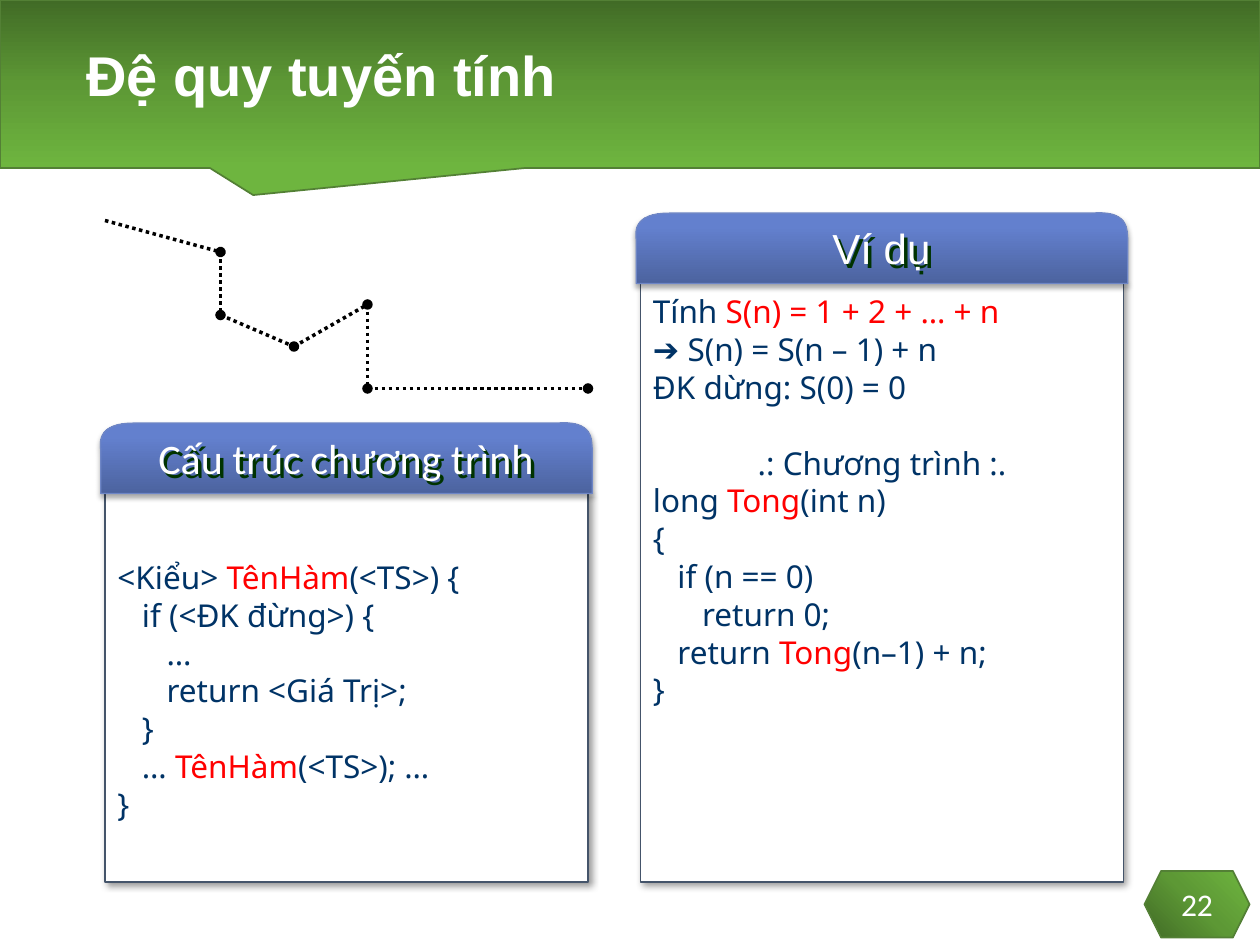
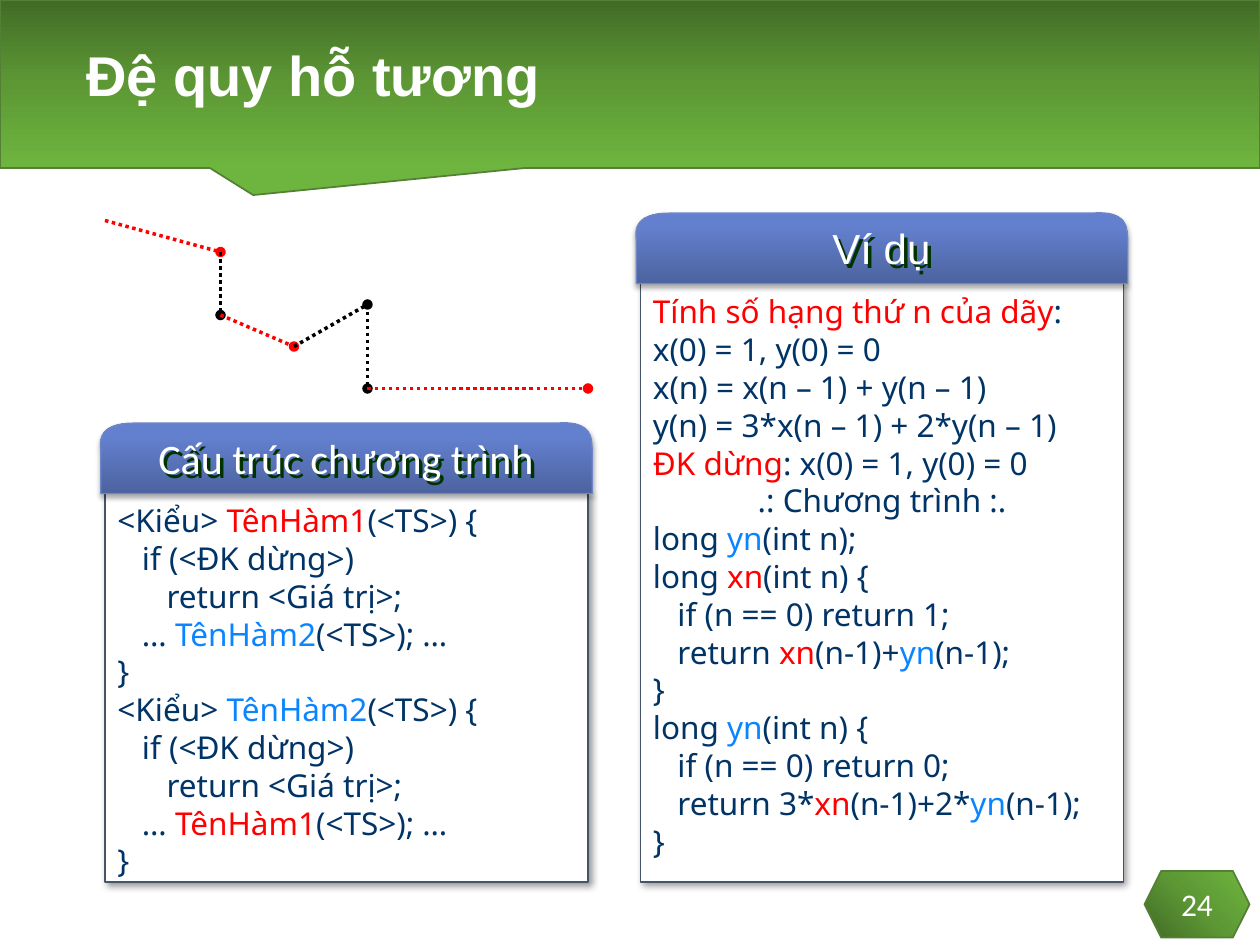
import pptx
import pptx.util
import pptx.oxml
import pptx.oxml.ns
import pptx.dml.color
import pptx.enum.dml
import pptx.enum.shapes
import pptx.enum.text

Pt = pptx.util.Pt
RGB = pptx.dml.color.RGBColor
SHAPE = pptx.enum.shapes.MSO_SHAPE
ALIGN = pptx.enum.text.PP_ALIGN
ANCHOR = pptx.enum.text.MSO_ANCHOR
qn = pptx.oxml.ns.qn

WHITE = RGB(0xFF, 0xFF, 0xFF)
BLACK = RGB(0, 0, 0)
RED = RGB(0xFF, 0, 0)
BLUE = RGB(0x0A, 0x85, 0xFF)
NAVY = RGB(0, 0x33, 0x66)
SLATE = RGB(0x44, 0x54, 0x6A)
MOSS = RGB(0x53, 0x80, 0x35)
SKY = RGB(0x6E, 0x86, 0xC6)
SHADE = RGB(0, 0x33, 0)

GREENS = [(0, RGB(0x41, 0x6B, 0x26)), (50, RGB(0x5D, 0x98, 0x35)),
          (100, RGB(0x6E, 0xB5, 0x3F))]
BLUES = [(0, RGB(0x4C, 0x63, 0x9F)), (80, RGB(0x63, 0x80, 0xCE)),
         (100, RGB(0x61, 0x80, 0xD1))]
DOWN = '<a:lin ang="5400000" scaled="0"/>'
UP = '<a:lin ang="16200000" scaled="0"/>'
CORNER = '<a:path path="circle"><a:fillToRect t="100000" r="100000"/></a:path>'

# The page is a grid of 120 columns and 90 rows.
CELL = pptx.util.Inches(10) / 120
PITCH = 21.6
INDENT = 0.195

ROUTE = [(10, 21), (21, 24), (21, 30), (28, 33), (35, 29), (35, 37), (56, 37)]
LEFT = (10, 47, 46, 37)
RIGHT = (61, 27, 46, 57)

# Bars enclose highlighted names; names of the second function are blue.
SECOND = ("yn", "TênHàm2")

LINEAR_FORM = """<Kiểu> |TênHàm|(<TS>) {
   if (<ĐK đừng>) {
      …
      return <Giá Trị>;
   }
   … |TênHàm|(<TS>); …
}"""
LINEAR_CASE = """Tính |S(n) = 1 + 2 + … + n
➔ S(n) = S(n – 1) + n
ĐK dừng: S(0) = 0

.: Chương trình :.
long |Tong|(int n)
{
   if (n == 0)
      return 0;
   return |Tong|(n–1) + n;
}"""
MUTUAL_FORM = """<Kiểu> |TênHàm1|(<TS>) {
   if (<ĐK dừng>)
      return <Giá trị>;
   … |TênHàm2|(<TS>); …
}
<Kiểu> |TênHàm2|(<TS>) {
   if (<ĐK dừng>)
      return <Giá trị>;
   … |TênHàm1|(<TS>); …
}"""
MUTUAL_CASE = """|Tính số hạng thứ n của dãy|:
x(0) = 1, y(0) = 0
x(n) = x(n – 1) + y(n – 1)
y(n) = 3*x(n – 1) + 2*y(n – 1)
|ĐK dừng|: x(0) = 1, y(0) = 0
.: Chương trình :.
long |yn|(int n);
long |xn|(int n) {
   if (n == 0) return 1;
   return |xn|(n-1)+|yn|(n-1);
}
long |yn|(int n) {
   if (n == 0) return 0;
   return 3*|xn|(n-1)+2*|yn|(n-1);
}"""


def cells(*counts):
    return [round(n * CELL) for n in counts]


def parse(tag, attrs, body=""):
    space = pptx.oxml.ns.nsdecls("a")
    return pptx.oxml.parse_xml(f"<a:{tag} {space} {attrs}>{body}</a:{tag}>")


def blend(shape, stops, way):
    """Fill the shape with a gradient."""
    shape.fill.gradient()
    marks = "".join(f'<a:gs pos="{pos * 1000}"><a:srgbClr val="{tone}"/></a:gs>'
                    for pos, tone in stops)
    props = shape.element.spPr
    props.replace(props.find(qn("a:gradFill")),
                  parse("gradFill", 'rotWithShape="1"',
                        f"<a:gsLst>{marks}</a:gsLst>{way}"))


def cast(shape, tone, alpha, blur, dist, angle):
    """Give the shape an outer shadow."""
    shape.shadow.inherit = False
    shape.element.spPr.find(qn("a:effectLst")).append(parse(
        "outerShdw",
        f'blurRad="{Pt(blur)}" dist="{Pt(dist)}" dir="{angle * 60000}" '
        'algn="ctr" rotWithShape="0"',
        f'<a:srgbClr val="{tone}"><a:alpha val="{alpha * 1000}"/></a:srgbClr>'))


def edge(shape, tone, width):
    shape.line.color.rgb = tone
    shape.line.width = Pt(width)


def style(run, font, size, tone, bold=False):
    run.font.name = font
    run.font.size = Pt(size)
    run.font.color.rgb = tone
    run.font.bold = bold


def label(frame, text, font, size, align, bold=False):
    """Write one white line of text."""
    frame.word_wrap = True
    frame.text = text
    para = frame.paragraphs[0]
    para.alignment = align
    style(para.runs[0], font, size, WHITE, bold)
    return para


def badge(slide, kind, place, way):
    """Add a green shape."""
    shape = slide.shapes.add_shape(kind, *cells(*place))
    shape.shadow.inherit = False
    blend(shape, GREENS, way)
    edge(shape, MOSS, 1)
    return shape


def band(slide):
    """Put the title band on the layout, behind the title."""
    shape = badge(slide, SHAPE.RECTANGULAR_CALLOUT, (0, 0, 120, 16), DOWN)
    shape.adjustments[0] = -0.299
    shape.adjustments[1] = 0.661
    slide.slide_layout.shapes.element.insert(2, shape.element)


def head(slide, text):
    title = slide.shapes.title
    title.left, title.top, title.width, title.height = cells(7, 1, 106, 13)
    title.text_frame.vertical_anchor = ANCHOR.MIDDLE
    para = label(title.text_frame, text, "Arial", 32, ALIGN.LEFT, True)
    para.line_spacing = 0.9


def number(slide, page):
    shape = badge(slide, SHAPE.HEXAGON, (109, 82.95, 10, 6.35), CORNER)
    frame = shape.text_frame
    frame.vertical_anchor = ANCHOR.MIDDLE
    label(frame, str(page), "Calibri", 18, ALIGN.CENTER)
    frame.margin_left = frame.margin_right = 0


def route(slide, tones):
    """Join the stops of the call path with dotted lines."""
    for start, end, tone in zip(ROUTE, ROUTE[1:], tones):
        line = slide.shapes.add_connector(
            pptx.enum.shapes.MSO_CONNECTOR.STRAIGHT, *cells(*start, *end))
        edge(line, tone, 2)
        line.line.dash_style = pptx.enum.dml.MSO_LINE.ROUND_DOT
        props = line.element.spPr
        props.find(qn("a:ln")).append(parse("tailEnd", 'type="oval"'))
        props.append(parse("effectLst", ""))


def curve(start, one, two, end, steps=16):
    """List points along a cubic curve, without its start."""
    spots = []
    for step in range(1, steps + 1):
        t = step / steps
        parts = ((1 - t) ** 3, 3 * t * (1 - t) ** 2, 3 * t * t * (1 - t), t ** 3)
        spots.append(tuple(sum(w * p[axis] for w, p in
                               zip(parts, (start, one, two, end)))
                           for axis in (0, 1)))
    return spots


def cap(slide, col, row, text, font):
    """Set a rounded heading on a box whose corner is at col, row."""
    first, right, top = (-0.4, -4.1), (46.4, -4.3), (3, -6.7)
    spots = [(-0.4, 0), (46.4, 0), right]
    spots += curve(right, (46.3, -5.2), (46.5, -7), (42.9, -6.7))
    spots += [top] + curve(top, (-1, -6.8), (-0.4, -4.6), first)
    points = [cells(col + x, row + y) for x, y in spots]
    draft = slide.shapes.build_freeform(*cells(col + first[0], row + first[1]))
    draft.add_line_segments(points, close=True)
    shape = draft.convert_to_shape()
    blend(shape, BLUES, UP)
    edge(shape, SKY, 0.75)
    cast(shape, BLACK, 35, 3.1, 1.8, 90)
    words = slide.shapes.add_textbox(*cells(col + 0.95, row - 6.35, 44, 6))
    label(words.text_frame, text, font, 24, ALIGN.CENTER)
    cast(words, SHADE, 100, 0, 2.8, 45)


def code(frame, source):
    """Write lines of code; a blank line becomes space before the next."""
    para, gap = None, 0
    for line in source.splitlines():
        if not line:
            gap = PITCH
            continue
        para = frame.add_paragraph() if para else frame.paragraphs[0]
        text = line.lstrip()
        para.alignment = ALIGN.CENTER if text.startswith(".:") else ALIGN.LEFT
        para.line_spacing = Pt(PITCH)
        para.space_before, gap = Pt(gap), 0
        level = (len(line) - len(text)) // 3
        if level:
            inset = pptx.util.Inches(INDENT * level)
            para._p.get_or_add_pPr().set("marL", str(inset))
        for place, piece in enumerate(text.split("|")):
            if piece:
                run = para.add_run()
                run.text = piece
                mark = BLUE if piece in SECOND else RED
                style(run, "Noto Sans", 18, mark if place % 2 else NAVY)


def panel(slide, place, title, font, source, anchor):
    box = slide.shapes.add_shape(SHAPE.ROUNDED_RECTANGLE, *cells(*place))
    box.adjustments[0] = 0
    box.fill.solid()
    box.fill.fore_color.rgb = WHITE
    edge(box, SLATE, 1)
    cast(box, BLACK, 40, 4, 2, 45)
    frame = box.text_frame
    frame.word_wrap = True
    frame.vertical_anchor = anchor
    frame.margin_top = pptx.util.Inches(0.07)
    frame.margin_bottom = pptx.util.Inches(0.03)
    code(frame, source)
    cap(slide, place[0], place[1], title, font)


def page(deck, title, count, tones, form, case):
    slide = deck.slides.add_slide(deck.slide_layouts[5])
    head(slide, title)
    number(slide, count)
    panel(slide, LEFT, "Cấu trúc chương trình", "Calibri", form, ANCHOR.MIDDLE)
    panel(slide, RIGHT, "Ví dụ", "Arial", case, ANCHOR.TOP)
    route(slide, tones)
    return slide


def main():
    deck = pptx.Presentation()
    deck.slide_width, deck.slide_height = cells(120, 90)
    first = page(deck, "Đệ quy tuyến tính", 22, [BLACK] * 6,
                 LINEAR_FORM, LINEAR_CASE)
    band(first)
    page(deck, "Đệ quy hỗ tương", 24, [RED, BLACK, RED, BLACK, BLACK, RED],
         MUTUAL_FORM, MUTUAL_CASE)
    deck.save("out.pptx")


if __name__ == "__main__":
    main()
